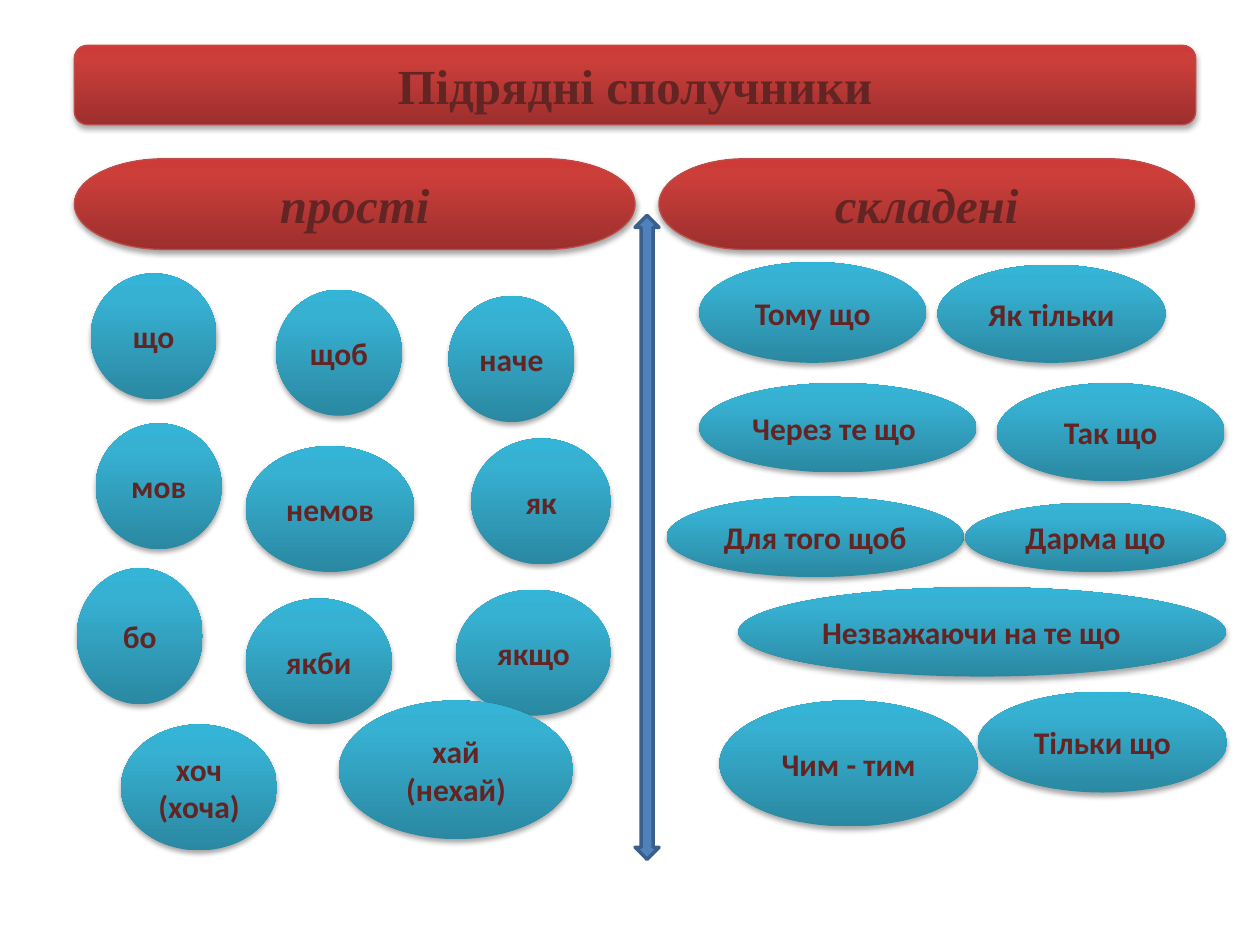
from lxml.etree import SubElement
from pptx import Presentation
from pptx.dml.color import RGBColor
from pptx.enum.shapes import MSO_SHAPE
from pptx.enum.text import MSO_ANCHOR, PP_ALIGN
from pptx.oxml.ns import qn
from pptx.util import Inches, Pt

RED = [(0, "9C2F2D"), (80, "CB3E3A"), (100, "CE3B37")]
TEAL = [(0, "2A88A2"), (80, "37B1D2"), (100, "34B4D6")]


def color(code):
    return RGBColor.from_string(code)


class Board:
    ink = "632523"

    def __init__(self, slide):
        self.slide = slide

    def shape(self, kind, box):
        shape = self.slide.shapes.add_shape(kind, *map(Inches, box))
        shape.shadow.inherit = False
        return shape

    def blend(self, shape, stops):
        shape.fill.gradient()
        shape.fill.gradient_angle = 90
        group = shape.element.spPr.find(".//" + qn("a:gsLst"))
        for old in list(group):
            group.remove(old)
        for pos, code in stops:
            stop = SubElement(group, qn("a:gs"), pos=str(pos * 1000))
            SubElement(stop, qn("a:srgbClr"), val=code)

    def shade(self, shape):
        effects = shape.element.spPr.find(qn("a:effectLst"))
        outer = SubElement(effects, qn("a:outerShdw"), blurRad=str(Pt(3.1)),
                           dist=str(Pt(1.8)), dir="5400000", rotWithShape="0")
        black = SubElement(outer, qn("a:srgbClr"), val="000000")
        SubElement(black, qn("a:alpha"), val="35000")

    def label(self, shape, text, size, font, italic, align):
        frame = shape.text_frame
        frame.word_wrap = True
        frame.vertical_anchor = MSO_ANCHOR.MIDDLE
        frame.text = text
        for para in frame.paragraphs:
            para.alignment = align
            for run in para.runs:
                run.font.size = Pt(size)
                run.font.name = font
                run.font.bold = True
                run.font.italic = italic
                run.font.color.rgb = color(self.ink)

    def outline(self, shape, code, width):
        shape.line.color.rgb = color(code)
        shape.line.width = Pt(width)

    def banner(self, kind, text, box, italic=False):
        shape = self.shape(kind, box)
        self.blend(shape, RED)
        self.outline(shape, "BF4C48", 0.75)
        self.shade(shape)
        self.label(shape, text, 28, "Times New Roman", italic, PP_ALIGN.CENTER)

    def bubble(self, text, box, align=PP_ALIGN.CENTER):
        shape = self.shape(MSO_SHAPE.OVAL, box)
        self.blend(shape, TEAL)
        shape.line.fill.background()
        self.shade(shape)
        self.label(shape, text, 18, "Calibri", False, align)

    def arrow(self, box):
        shape = self.shape(MSO_SHAPE.UP_DOWN_ARROW, box)
        shape.fill.solid()
        shape.fill.fore_color.rgb = color("4F81BD")
        self.outline(shape, "3A5F8C", 2)


deck = Presentation()
deck.slide_width, deck.slide_height = Inches(10), Inches(7.5)
board = Board(deck.slides.add_slide(deck.slide_layouts[6]))

# Title and column heads
board.banner(MSO_SHAPE.ROUNDED_RECTANGLE, "Підрядні сполучники",
             (0.59, 0.36, 8.9, 0.63))
for text, left, width in [("прості", 0.59, 4.45), ("складені", 5.23, 4.25)]:
    board.banner(MSO_SHAPE.FLOWCHART_TERMINATOR, text,
                 (left, 1.26, width, 0.72), True)

# Compound conjunctions
compound = [
    ("Тому що", (5.55, 2.08, 1.8, 0.8)),
    ("Як тільки", (7.44, 2.1, 1.81, 0.78)),
    ("Через те що", (5.55, 3.04, 2.2, 0.71), PP_ALIGN.LEFT),
    ("Так що", (7.91, 3.04, 1.81, 0.78)),
    ("Для того щоб", (5.29, 3.94, 2.36, 0.64)),
    ("Дарма що", (7.66, 3.99, 2.07, 0.55)),
    ("Незважаючи на те що", (5.86, 4.66, 3.87, 0.71), PP_ALIGN.LEFT),
    ("Тільки що", (7.76, 5.49, 1.98, 0.8)),
    ("Чим - тим", (5.71, 5.56, 2.05, 1)),
]

# Simple conjunctions
simple = [
    ("що", (0.72, 2.17, 1, 1)),
    ("щоб", (2.19, 2.3, 1, 1)),
    ("наче", (3.56, 2.35, 1, 1)),
    ("мов", (0.76, 3.36, 1, 1)),
    ("немов", (1.95, 3.54, 1.34, 1)),
    ("бо", (0.61, 4.51, 1, 1.08)),
    ("як", (3.74, 3.48, 1.11, 1)),
    ("якби", (1.95, 4.75, 1.16, 1)),
    ("якщо", (3.62, 4.68, 1.23, 1)),
    ("хоч (хоча)", (0.96, 5.75, 1.24, 1)),
    ("хай\n(нехай)", (2.69, 5.56, 1.86, 1.1)),
]
for item in compound + simple:
    board.bubble(*item)

# Divider
board.arrow((5.04, 1.71, 0.19, 5.11))

deck.save("out.pptx")
